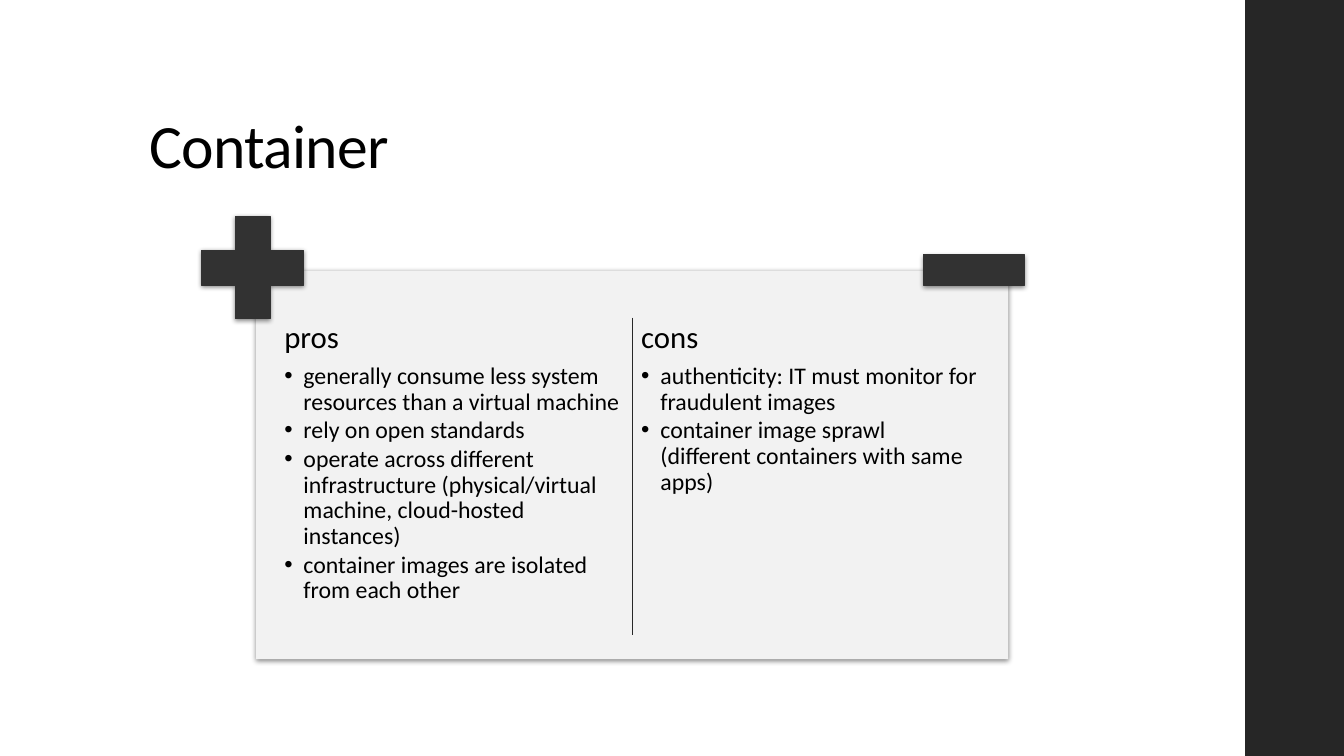
from lxml import etree
from pptx import Presentation
from pptx import util as u
from pptx.dml.color import RGBColor
from pptx.enum import shapes, text
from pptx.oxml.ns import qn

PX = 9144
FONT = "Calibri"
PROS = [
    "generally consume less system resources than a virtual machine",
    "rely on open standards",
    "operate across different infrastructure (physical/virtual machine, cloud-hosted instances)",
    "container images are isolated from each other",
]
CONS = [
    "authenticity: IT must monitor for fraudulent images",
    "container image sprawl (different containers with same apps)",
]


def px(*lengths):
    return [u.Emu(length * PX) for length in lengths]


def color(value):
    return RGBColor.from_string(value)


def add_run(paragraph, words, size):
    run = paragraph.add_run()
    run.text = words
    run.font.size = u.Pt(size)
    run.font.name = FONT
    run.font.color.rgb = color("000000")
    return run


def add_block(slide, kind, box, fill, outline=None, shadow=True):
    block = slide.shapes.add_shape(kind, *px(*box))
    block.fill.solid()
    block.fill.fore_color.rgb = color(fill)
    if outline:
        block.line.color.rgb = color(outline)
        block.line.width = u.Pt(0.75)
    else:
        block.line.fill.background()
    block.shadow.inherit = False
    if shadow:
        effects = block._element.spPr.find(qn("a:effectLst"))
        outer = etree.SubElement(effects, qn("a:outerShdw"), blurRad=str(u.Pt(3.5)),
                                 dist=str(u.Pt(1.1)), dir="5400000", rotWithShape="0")
        black = etree.SubElement(outer, qn("a:srgbClr"), val="000000")
        etree.SubElement(black, qn("a:alpha"), val="45000")
    return block


def add_title(slide, box, words):
    title = slide.shapes.title
    title.left, title.top, title.width, title.height = px(*box)
    frame = title.text_frame
    frame.auto_size = text.MSO_AUTO_SIZE.NONE
    frame.vertical_anchor = text.MSO_ANCHOR.BOTTOM
    paragraph = frame.paragraphs[0]
    paragraph.alignment = text.PP_ALIGN.LEFT
    paragraph.line_spacing = 0.9
    run = add_run(paragraph, words, 44)
    run.font._element.set("spc", "-50")


def add_column(slide, box, heading, points):
    frame = slide.shapes.add_textbox(*px(*box)).text_frame
    frame.word_wrap = True
    frame.margin_left = frame.margin_right = frame.margin_top = frame.margin_bottom = px(5)[0]
    paragraph = frame.paragraphs[0]
    paragraph.line_spacing = 0.9
    paragraph.space_after = u.Pt(6.5)
    add_run(paragraph, heading, 22)
    indent = px(19)[0]
    for point in points:
        paragraph = frame.add_paragraph()
        paragraph.level = 1
        paragraph.line_spacing = 0.9
        paragraph.space_after = u.Pt(2.1)
        add_run(paragraph, point, 17)
        properties = paragraph._p.get_or_add_pPr()
        properties.set("marL", str(indent))
        properties.set("indent", str(-indent))
        etree.SubElement(properties, qn("a:buFont"), typeface="Arial")
        etree.SubElement(properties, qn("a:buChar"), char="•")


def add_divider(slide, x, top, bottom):
    divider = slide.shapes.add_connector(shapes.MSO_CONNECTOR.STRAIGHT, *px(x, top, x, bottom))
    divider.line.color.rgb = color("282828")
    divider.line.width = u.Pt(0.85)
    etree.SubElement(divider._element.spPr, qn("a:effectLst"))


def add_comparison(slide, box):
    left, top, width, height = box
    middle = left + width // 2
    column_width, column_gap = 346, 4
    column_top, column_height = top + 45, 330
    rectangle = shapes.MSO_SHAPE.RECTANGLE
    add_block(slide, rectangle, box, "F2F2F2")
    for x, heading, points in (
        (middle - column_gap - column_width, "pros", PROS),
        (middle + column_gap, "cons", CONS),
    ):
        add_column(slide, (x, column_top, column_width, column_height), heading, points)
    plus = add_block(slide, shapes.MSO_SHAPE.CROSS, (left - 54, top - 54, 101, 101),
                     "323232", "323232")
    plus.adjustments[0] = 0.328
    add_block(slide, rectangle, (left + width - 84, top - 16, 100, 30), "323232", "323232")
    add_divider(slide, middle, top + 46, top + 361)


def main():
    presentation = Presentation()
    presentation.slide_width, presentation.slide_height = px(1333, 750)
    slide = presentation.slides.add_slide(presentation.slide_layouts[5])
    add_block(slide, shapes.MSO_SHAPE.RECTANGLE, (1235, 0, 98, 750), "262626", shadow=False)
    add_title(slide, (138, 40, 1060, 145), "Container")
    add_comparison(slide, (254, 269, 746, 385))
    presentation.save("out.pptx")


if __name__ == "__main__":
    main()
